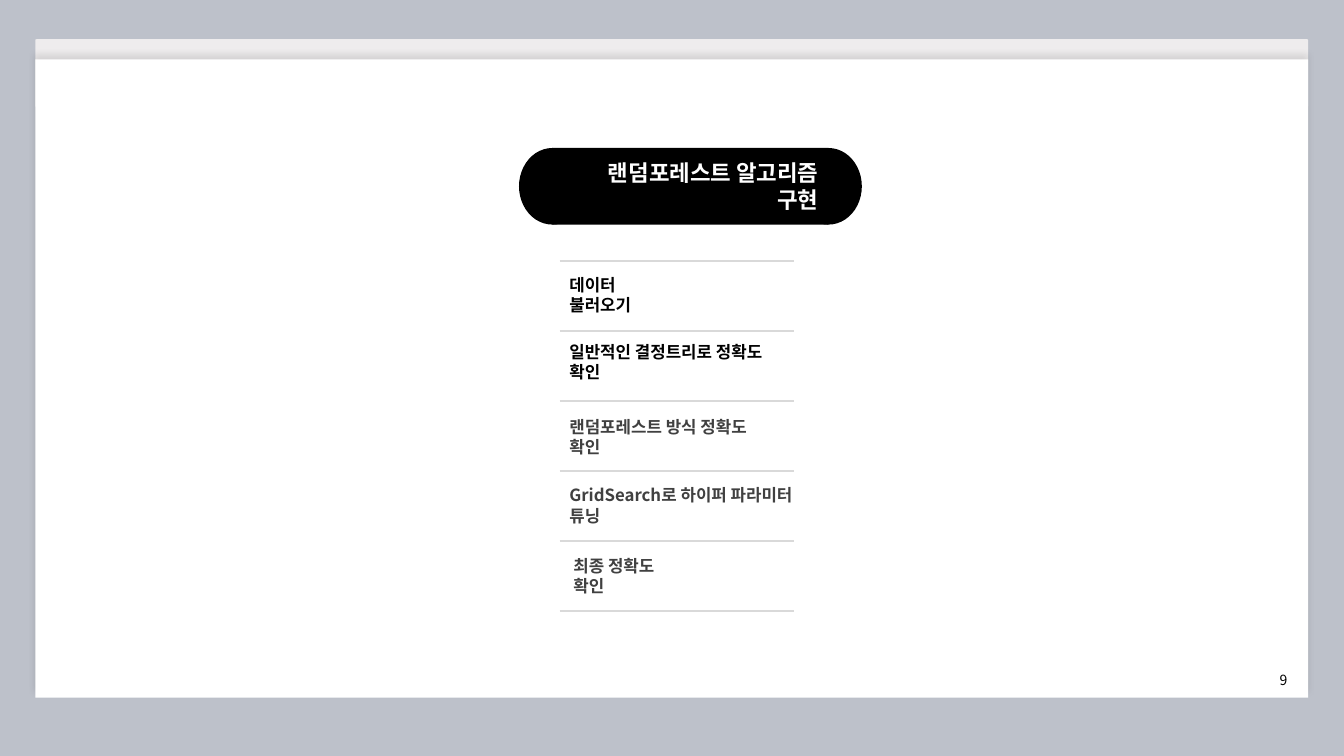
import pptx
import pptx.dml.color
import pptx.enum.shapes
import pptx.enum.text
import pptx.oxml
import pptx.oxml.ns
import pptx.util
import lxml.etree

Cm = pptx.util.Cm
Pt = pptx.util.Pt
SHAPE = pptx.enum.shapes.MSO_SHAPE
ALIGN = pptx.enum.text.PP_ALIGN
ANCHOR = pptx.enum.text.MSO_ANCHOR
FONT = "Noto Sans CJK KR"

# Label, colour, indent, drop below the row's upper rule, width (cm)
STEPS = [
    ("데이터 불러오기", "000000", 0, 0.46, 3.25),
    ("일반적인 결정트리로 정확도 확인", "000000", 0, 0.4, 6.15),
    ("랜덤포레스트 방식 정확도 확인", "404040", 0, 0.52, 5.77),
    ("GridSearch로 하이퍼 파라미터 튜닝", "404040", 0, 0.48, 6.8),
    ("최종 정확도 확인", "404040", 0.1, 0.49, 3.33),
]


def color(hex_string):
    return pptx.dml.color.RGBColor.from_string(hex_string)


def add_block(shapes, kind, left, top, width, height, fill):
    block = shapes.add_shape(kind, Cm(left), Cm(top), Cm(width), Cm(height))
    block.shadow.inherit = False
    block.fill.solid()
    block.fill.fore_color.rgb = color(fill)
    block.line.fill.background()
    return block


def write_text(holder, text, size=12, fill="000000", bold=False,
               align=ALIGN.LEFT, anchor=ANCHOR.MIDDLE):
    frame = holder.text_frame
    frame.word_wrap = True
    frame.vertical_anchor = anchor
    paragraph = frame.paragraphs[0]
    paragraph.alignment = align
    run = paragraph.add_run()
    run.text = text
    run.font.size = Pt(size)
    run.font.bold = bold
    run.font.name = FONT
    run.font.color.rgb = color(fill)
    east_asian = pptx.oxml.ns.qn("a:ea")
    lxml.etree.SubElement(run.font._element, east_asian, typeface=FONT)


def add_rule(shapes, left, top, width):
    rule = shapes.add_connector(pptx.enum.shapes.MSO_CONNECTOR.STRAIGHT,
                                Cm(left), Cm(top), Cm(left + width), Cm(top))
    rule.line.color.rgb = color("D9D9D9")
    rule.line.width = Pt(1)
    effects = pptx.oxml.ns.qn("a:effectLst")
    lxml.etree.SubElement(rule._element.spPr, effects)


def add_window(shapes, left, top, width, height):
    # Tab strip behind the white page
    strip = add_block(shapes, SHAPE.ROUNDED_RECTANGLE, left, top, width, 1.7, "EEECED")
    strip.adjustments[0] = 0.015
    page = add_block(shapes, SHAPE.RECTANGLE, left, top + 0.51, width, height - 0.51, "FFFFFF")
    # Soft shadow cast upwards
    effects = page._element.spPr.find(pptx.oxml.ns.qn("a:effectLst"))
    effects.append(pptx.oxml.parse_xml(
        f'<a:outerShdw {pptx.oxml.ns.nsdecls("a")} blurRad="{Pt(4)}" dist="{Pt(3)}" '
        'dir="16200000" algn="b" rotWithShape="0"><a:srgbClr val="000000">'
        '<a:alpha val="10000"/></a:srgbClr></a:outerShdw>'))


def add_title_pill(shapes, left, top, width, height):
    pill = shapes.add_group_shape().shapes
    cap = 1.68
    for cap_left in (left, left + width - cap):
        add_block(pill, SHAPE.OVAL, cap_left, top, cap, height, "000000")
    body = add_block(pill, SHAPE.RECTANGLE, left + cap / 2, top, width - cap, height, "000000")
    write_text(body, "랜덤포레스트 알고리즘 구현", size=16, fill="FFFFFF",
               bold=True, align=ALIGN.RIGHT)


def add_steps(shapes, left, top, width, height):
    pitch = height / len(STEPS)
    for row in range(len(STEPS) + 1):
        add_rule(shapes, left, top + row * pitch, width)
    for row, (label, fill, indent, drop, label_width) in enumerate(STEPS):
        step = shapes.add_textbox(Cm(left + indent), Cm(top + row * pitch + drop),
                                  Cm(label_width), Cm(0.76))
        write_text(step, label, fill=fill, bold=True)


def add_page_number(shapes, left, top, width, height):
    number = shapes.add_textbox(Cm(left), Cm(top), Cm(width), Cm(height))
    write_text(number, "9", size=10, anchor=ANCHOR.TOP)


def main():
    deck = pptx.Presentation()
    deck.slide_width = Cm(33.87)
    deck.slide_height = Cm(19.05)
    slide = deck.slides.add_slide(deck.slide_layouts[6])
    slide.background.fill.solid()
    slide.background.fill.fore_color.rgb = color("BDC1CA")

    add_window(slide.shapes, 0.89, 0.99, 32.08, 16.59)
    add_title_pill(slide.shapes, 13.08, 3.73, 8.64, 1.93)
    add_steps(slide.shapes, 14.1, 6.58, 5.92, 8.82)
    add_page_number(slide.shapes, 32, 16.79, 0.99, 0.69)
    deck.save("out.pptx")


if __name__ == "__main__":
    main()
